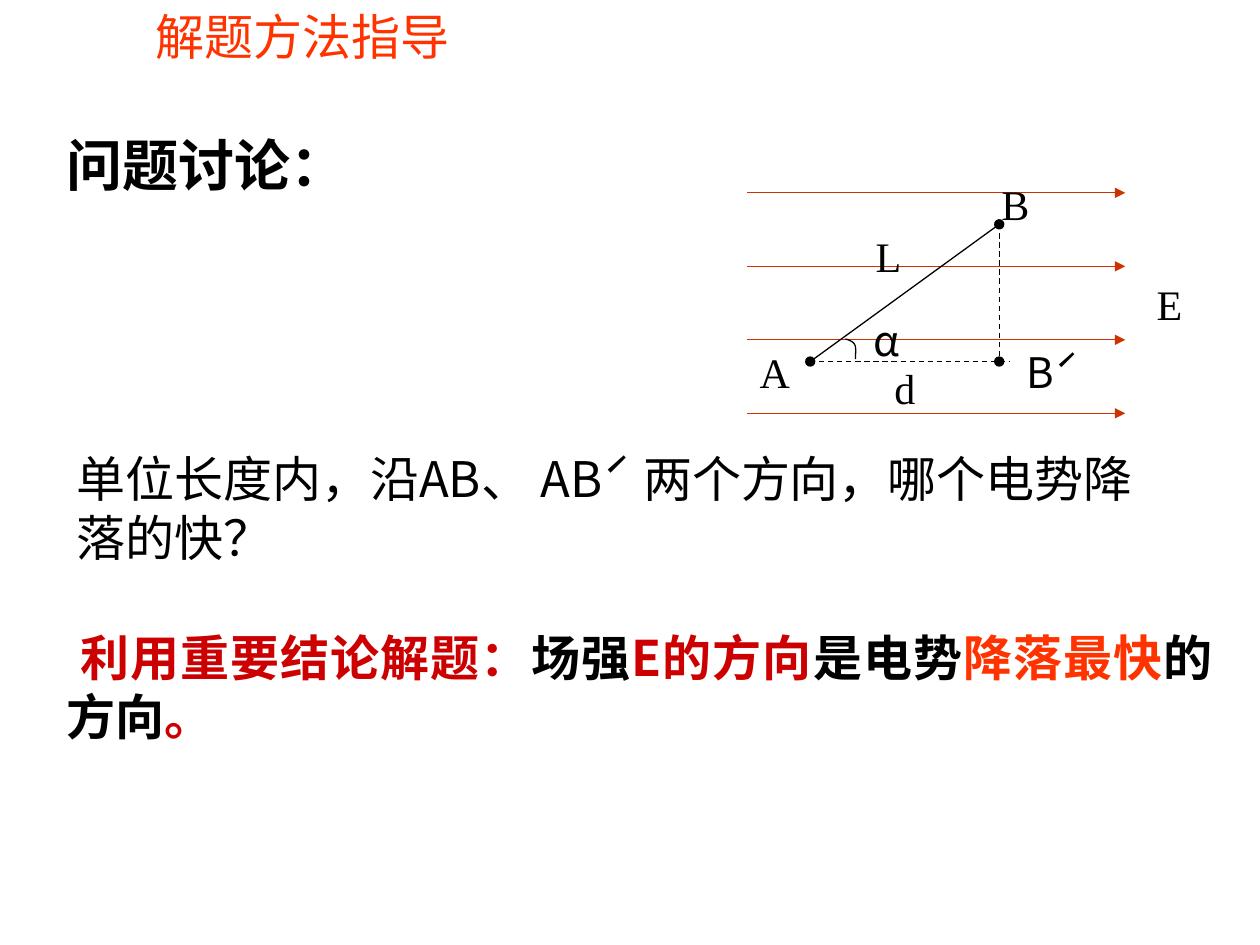
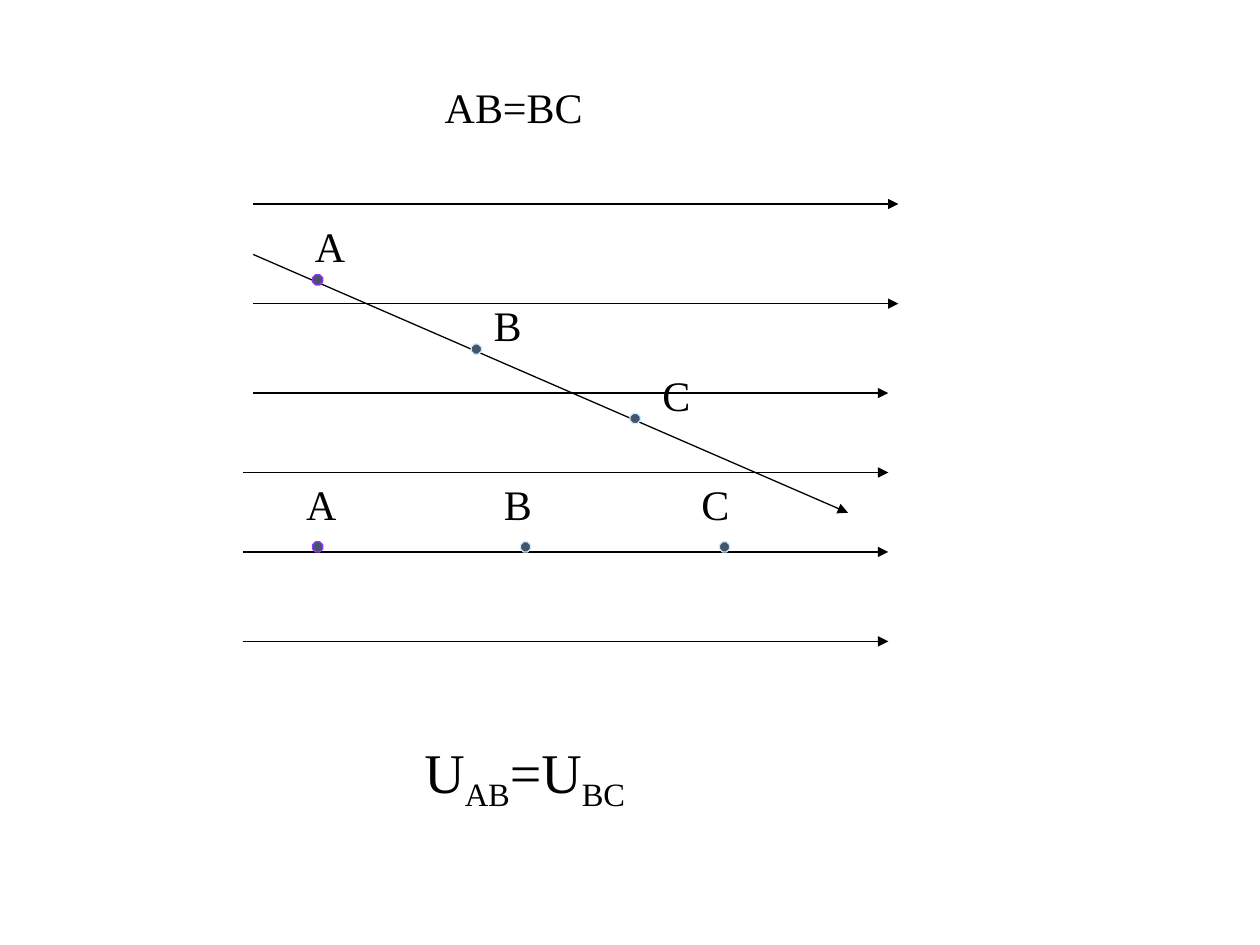
"""Builds two slides on potential drop along the directions of a uniform electric field."""
from dataclasses import dataclass

from lxml.etree import SubElement
from pptx import Presentation
from pptx.dml.color import RGBColor
from pptx.enum.dml import MSO_LINE
from pptx.enum.shapes import MSO_CONNECTOR, MSO_SHAPE
from pptx.enum.text import MSO_ANCHOR, MSO_AUTO_SIZE, PP_ALIGN
from pptx.oxml.ns import qn
from pptx.util import Pt


@dataclass(frozen=True)
class Theme:
    black: str = "000000"
    orange: str = "FF3300"
    red: str = "CC0000"
    field: str = "CC3300"
    dot_fill: str = "44546A"
    dot_line: str = "CCECFF"
    first_dot_line: str = "9933FF"
    serif: str = "Times New Roman"
    sans: str = "Noto Sans CJK SC"
    label_size: int = 24
    body_size: int = 28
    heading_size: int = 32
    line_width: float = 0.75
    dot_size: float = 5.8
    label_height: int = 36


class Builder:
    def __init__(self, presentation, theme):
        self.presentation = presentation
        self.theme = theme
        self.slide = None

    def new_slide(self):
        self.slide = self.presentation.slides.add_slide(self.presentation.slide_layouts[6])

    def text(self, left, top, width, height, parts, size, font=None, bold=False,
             wrap=True, align=PP_ALIGN.LEFT):
        box = self.slide.shapes.add_textbox(Pt(left), Pt(top), Pt(width), Pt(height))
        frame = box.text_frame
        frame.word_wrap = wrap
        frame.auto_size = MSO_AUTO_SIZE.SHAPE_TO_FIT_TEXT
        frame.vertical_anchor = MSO_ANCHOR.TOP
        paragraph = frame.paragraphs[0]
        paragraph.alignment = align
        for content, color, *baseline in parts:
            run = paragraph.add_run()
            run.text = content
            run.font.size = Pt(size)
            run.font.bold = bold
            run.font.color.rgb = RGBColor.from_string(color)
            run.font.name = font or self.theme.serif
            properties = run._r.get_or_add_rPr()
            SubElement(properties, qn("a:ea")).set("typeface", self.theme.sans)
            if baseline:
                properties.set("baseline", str(baseline[0] * 1000))

    def label(self, content, left, top, width=31, font=None, wrap=False, align=PP_ALIGN.LEFT):
        theme = self.theme
        self.text(left, top, width, theme.label_height, [(content, theme.black)],
                  theme.label_size, font, wrap=wrap, align=align)

    def line(self, start, end, color=None, head=None, tail=None, dashed=False):
        connector = self.slide.shapes.add_connector(
            MSO_CONNECTOR.STRAIGHT, *(Pt(value) for value in (*start, *end)))
        self.stroke(connector.line, color or self.theme.black)
        if dashed:
            connector.line.dash_style = MSO_LINE.DASH
        outline = connector.line._get_or_add_ln()
        for tag, end_type in (("a:headEnd", head), ("a:tailEnd", tail)):
            if end_type:
                SubElement(outline, qn(tag)).set("type", end_type)
        SubElement(connector._element.spPr, qn("a:effectLst"))

    def stroke(self, line, color):
        line.color.rgb = RGBColor.from_string(color)
        line.width = Pt(self.theme.line_width)

    def dot(self, left, top, line_color):
        size = Pt(self.theme.dot_size)
        shape = self.slide.shapes.add_shape(MSO_SHAPE.OCTAGON, Pt(left), Pt(top), size, size)
        shape.shadow.inherit = False
        shape.fill.solid()
        shape.fill.fore_color.rgb = RGBColor.from_string(self.theme.dot_fill)
        self.stroke(shape.line, line_color)

    def curve(self, controls, steps=12):
        points = []
        for step in range(steps + 1):
            t = step / steps
            weights = ((1 - t) ** 3, 3 * t * (1 - t) ** 2, 3 * t * t * (1 - t), t ** 3)
            points.append(tuple(Pt(sum(weight * point[axis] for weight, point
                                       in zip(weights, controls))) for axis in (0, 1)))
        builder = self.slide.shapes.build_freeform(*points[0])
        builder.add_line_segments(points[1:], close=False)
        shape = builder.convert_to_shape()
        shape.shadow.inherit = False
        shape.fill.background()
        self.stroke(shape.line, self.theme.black)


def build_discussion(builder):
    theme = builder.theme
    builder.new_slide()
    for index in range(4):
        y = 110.2 + 42 * index
        builder.line((427, y), (643, y), theme.field, tail="triangle")
    point_a, point_b, foot = (463, 206.6), (571, 128.2), (571, 206.6)
    builder.line(point_a, point_b, head="oval", tail="oval")
    builder.line(point_a, (576.7, 206.6), dashed=True)
    builder.line(point_b, foot, tail="oval", dashed=True)
    builder.curve([(483.1, 193.7), (490.3, 195.8), (488.9, 198), (488.9, 205.2)])

    builder.label("E", 653.8, 155.5, 29)
    builder.label("A", 427, 194.4, 32, wrap=True)
    builder.label("B", 565.2, 98.6)
    builder.label("L", 493.2, 128.2, 29)
    builder.label("α", 491.8, 176.4, 35, theme.sans)
    builder.label("Bˊ", 579.6, 194.4, 50, theme.sans)
    builder.label("d", 504, 203.8, 26, align=PP_ALIGN.CENTER)

    builder.text(31, 71.3, 641, 84, [("问题讨论：", theme.black)], theme.heading_size, bold=True)
    conclusion = [(" 利用重要结论解题：", theme.red), ("场强", theme.black),
                  ("E的方向", theme.red), ("是电势", theme.black),
                  ("降落最快", theme.orange), ("的方向", theme.black), ("。", theme.red)]
    builder.text(31, 355, 669, 149, conclusion, theme.body_size, theme.sans, bold=True,
                 align=PP_ALIGN.JUSTIFY)
    question = "单位长度内，沿AB、 ABˊ 两个方向，哪个电势降落的快？"
    builder.text(36.7, 252.7, 641, 75, [(question, theme.black)], theme.body_size, theme.sans)
    builder.text(82, 0, 182, 41, [("解题方法指导", theme.orange)], theme.body_size, wrap=False)


def build_equal_segments(builder):
    theme = builder.theme
    builder.new_slide()
    field_lines = [(144.7, 513.4, 116.6), (144.7, 513.4, 173.5), (144.7, 507.6, 224.6),
                   (139, 507.6, 270), (139, 507.6, 315.4), (139, 507.6, 366.5)]
    for left, right, y in field_lines:
        builder.line((left, y), (right, y), tail="triangle")
    builder.line((144.7, 145.4), (484.6, 293), tail="triangle")

    dot_lines = (theme.first_dot_line, theme.dot_line, theme.dot_line)
    slanted_labels = [(172.8, 122.4), (275, 167.8), (371.5, 207.4)]
    level_dots = (178.6, 297.4, 411.1)
    for index, name in enumerate("ABC"):
        builder.dot(178.6 + 90.7 * index, 157 + 39.6 * index, dot_lines[index])
        builder.dot(level_dots[index], 309.6, dot_lines[index])
        builder.label(name, *slanted_labels[index])
        builder.label(name, 167.8 + 113 * index, 270)

    builder.label("AB=BC", 247, 43.2, 121, wrap=True)
    formula = [("U", theme.black), ("AB", theme.black, -25),
               ("=U", theme.black), ("BC", theme.black, -25)]
    builder.text(235.4, 417.6, 348, 51, formula, theme.heading_size)


def main():
    presentation = Presentation()
    presentation.slide_width, presentation.slide_height = Pt(720), Pt(540)
    builder = Builder(presentation, Theme())
    build_discussion(builder)
    build_equal_segments(builder)
    presentation.save("out.pptx")


if __name__ == "__main__":
    main()
